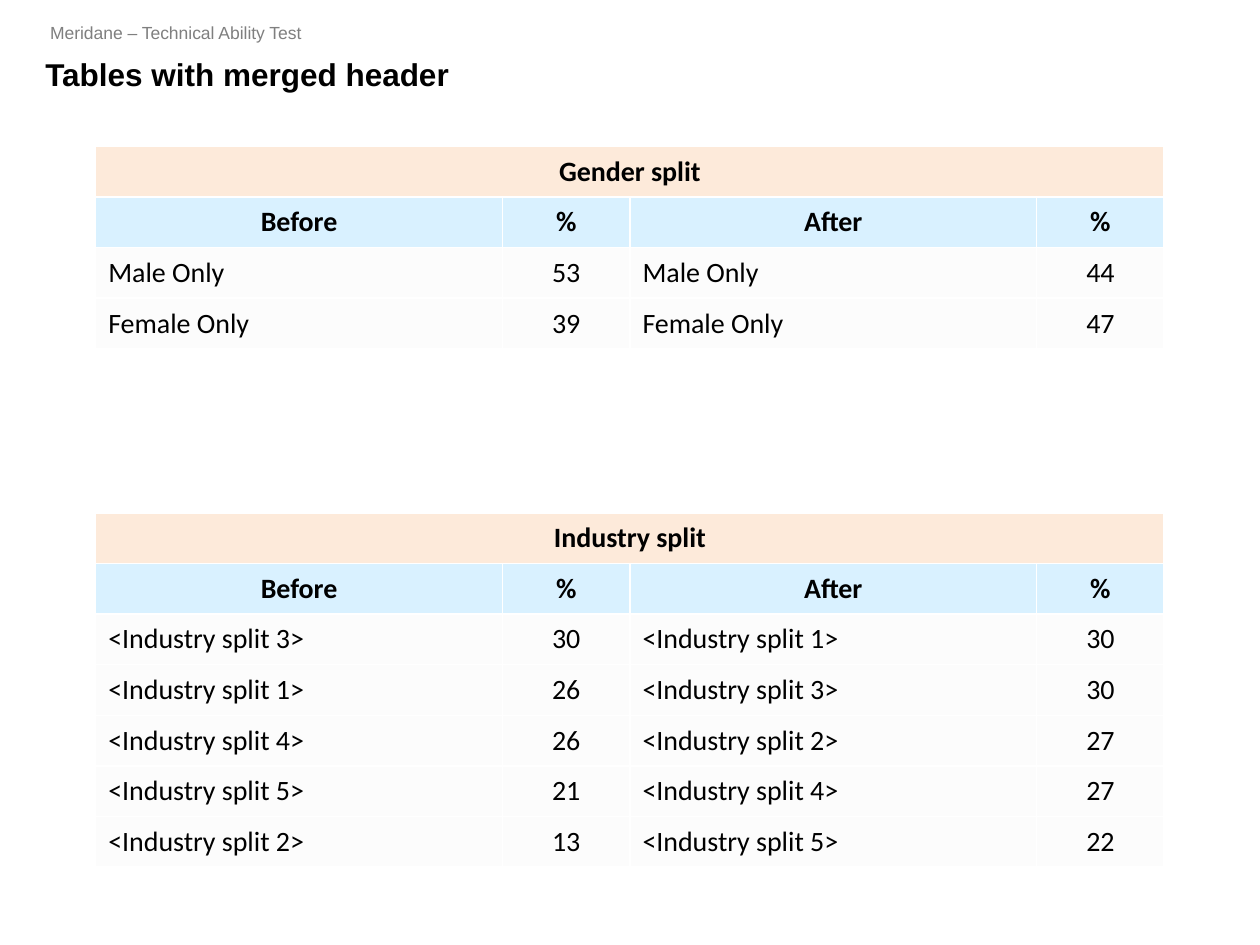
from pptx import Presentation
from pptx.dml.color import RGBColor
from pptx.enum.text import MSO_ANCHOR, PP_ALIGN
from pptx.util import Cm, Pt

COLORS = {
    "text": "000000",
    "tagline": "7F7F7F",
    "caption": "FDEADA",
    "header": "D9F1FF",
    "body": "FCFCFC",
}
HEADINGS = ["Before", "%", "After", "%"]
COLUMN_WIDTHS = [8.2, 2.57, 8.2, 2.57]
ROW_HEIGHT = 1.02

GENDER_ROWS = [
    ["Male Only", 53, "Male Only", 44],
    ["Female Only", 39, "Female Only", 47],
]
INDUSTRY_ROWS = [
    ["<Industry split 3>", 30, "<Industry split 1>", 30],
    ["<Industry split 1>", 26, "<Industry split 3>", 30],
    ["<Industry split 4>", 26, "<Industry split 2>", 27],
    ["<Industry split 5>", 21, "<Industry split 4>", 27],
    ["<Industry split 2>", 13, "<Industry split 5>", 22],
]


def write(frame, words, font, size, color, bold=False, align=PP_ALIGN.LEFT):
    paragraph = frame.paragraphs[0]
    paragraph.alignment = align
    run = paragraph.add_run()
    run.text = words
    run.font.name = font
    run.font.size = Pt(size)
    run.font.bold = bold
    run.font.color.rgb = RGBColor.from_string(COLORS[color])
    return paragraph


def add_heading(slide, left, top, width):
    # Tagline above the title
    tagline = slide.shapes.add_textbox(
        Cm(left + 0.1), Cm(top), Cm(width - 0.1), Cm(1)).text_frame
    tagline.word_wrap = True
    tagline.vertical_anchor = MSO_ANCHOR.BOTTOM
    write(tagline, "Meridane – Technical Ability Test", "Arial", 10, "tagline")

    # Title
    title = slide.shapes.title
    title.left, title.top = Cm(left), Cm(top + 1.02)
    title.width, title.height = Cm(width), Cm(1.02)
    title.text_frame.vertical_anchor = MSO_ANCHOR.MIDDLE
    line = write(title.text_frame, "Tables with merged header", "Arial", 18, "text", bold=True)
    line.line_spacing = 0.9


def fill_cell(cell, words, color, bold, align):
    cell.fill.solid()
    cell.fill.fore_color.rgb = RGBColor.from_string(COLORS[color])
    cell.vertical_anchor = MSO_ANCHOR.MIDDLE
    write(cell.text_frame, words, "Calibri", 16, "text", bold, align)


def add_split_table(slide, left, top, caption, splits):
    row_count = len(splits) + 2
    table = slide.shapes.add_table(
        row_count, len(HEADINGS), Cm(left), Cm(top),
        Cm(sum(COLUMN_WIDTHS)), Cm(ROW_HEIGHT * row_count)).table
    for column, width in zip(table.columns, COLUMN_WIDTHS):
        column.width = Cm(width)
    for row in table.rows:
        row.height = Cm(ROW_HEIGHT)

    # Merged caption row
    table.cell(0, 0).merge(table.cell(0, len(HEADINGS) - 1))
    fill_cell(table.cell(0, 0), caption, "caption", True, PP_ALIGN.CENTER)

    # Column headings, then labels on the left and centred percentages
    for c, heading in enumerate(HEADINGS):
        fill_cell(table.cell(1, c), heading, "header", True, PP_ALIGN.CENTER)
        align = PP_ALIGN.CENTER if heading == "%" else PP_ALIGN.LEFT
        for r, split in enumerate(splits, start=2):
            fill_cell(table.cell(r, c), str(split[c]), "body", False, align)


def main():
    deck = Presentation()
    deck.slide_width, deck.slide_height = Cm(25.4), Cm(19.05)
    slide = deck.slides.add_slide(deck.slide_layouts[5])
    add_heading(slide, 0.66, 0, 24.1)
    add_split_table(slide, 1.93, 2.95, "Gender split", GENDER_ROWS)
    add_split_table(slide, 1.93, 10.34, "Industry split", INDUSTRY_ROWS)
    deck.save("out.pptx")


if __name__ == "__main__":
    main()
